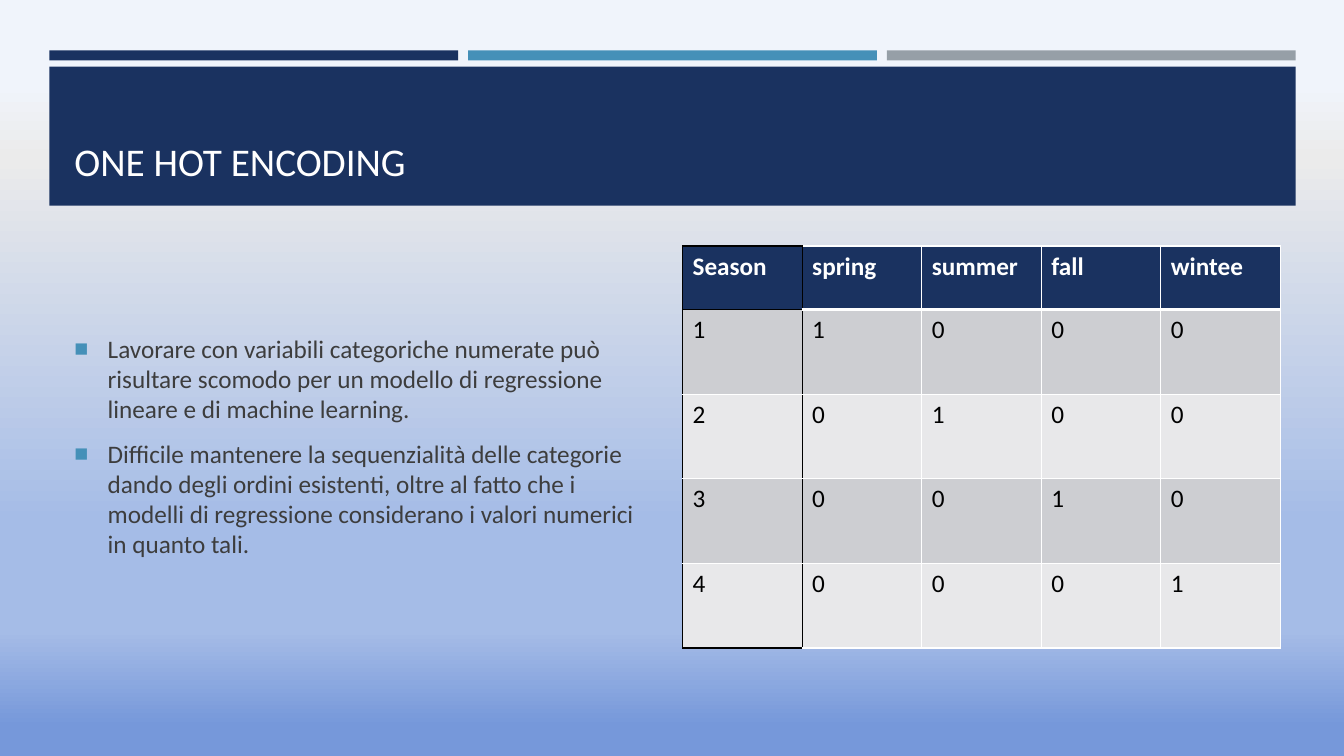
from lxml import etree
from pptx import Presentation
from pptx.dml.color import RGBColor
from pptx.enum.shapes import MSO_SHAPE
from pptx.enum.text import MSO_ANCHOR
from pptx.oxml.ns import qn
from pptx.util import Inches, Pt

RECTANGLE = MSO_SHAPE.RECTANGLE
BOTTOM, MIDDLE = MSO_ANCHOR.BOTTOM, MSO_ANCHOR.MIDDLE

NAVY = RGBColor(0x1A, 0x32, 0x60)
BLUE = RGBColor(0x45, 0x90, 0xB8)
GRAY = RGBColor(0x96, 0x9F, 0xA7)
WHITE = RGBColor(0xFF, 0xFF, 0xFF)
BLACK = RGBColor(0x00, 0x00, 0x00)
BODY_TEXT = RGBColor(0x3D, 0x3D, 0x3D)
ROW_DARK = RGBColor(0xCD, 0xCE, 0xD2)
ROW_LIGHT = RGBColor(0xE8, 0xE8, 0xEA)
BACKGROUND_STOPS = [
    (11, RGBColor(0xF0, 0xF4, 0xFB)),
    (21, RGBColor(0xEB, 0xEB, 0xEB)),
    (69, RGBColor(0xA5, 0xBC, 0xE7)),
    (84, RGBColor(0xA3, 0xBA, 0xE6)),
    (96, RGBColor(0x76, 0x98, 0xDA)),
]

FONT = "Calibri"
SLIDE_WIDTH, SLIDE_HEIGHT = 13.33, 7.5
MARGIN, BAND_WIDTH = 0.49, 12.36
CONTENT_LEFT, CONTENT_WIDTH, CONTENT_TOP = 0.64, 12.06, 2.44
COLUMN_GAP = 0.2
COLUMN_WIDTH = (CONTENT_WIDTH - COLUMN_GAP) / 2

TITLE = "ONE HOT ENCODING"
POINTS = [
    "Lavorare con variabili categoriche numerate può risultare scomodo per un "
    "modello di regressione lineare e di machine learning.",
    "Difficile mantenere la sequenzialità delle categorie dando degli ordini "
    "esistenti, oltre al fatto che i modelli di regressione considerano i "
    "valori numerici in quanto tali.",
]
SEASONS = ["spring", "summer", "fall", "wintee"]


def set_font(paragraph, size, color, bold=False):
    font = paragraph.font
    font.name, font.size, font.bold = FONT, Pt(size), bold
    font.color.rgb = color


def add_color(parent, color):
    etree.SubElement(parent, qn("a:srgbClr"), val=str(color))


def paint_background(slide):
    slide.background.fill.gradient()
    gradient = slide.element.find(".//" + qn("a:gradFill"))
    stops = gradient.find(qn("a:gsLst"))
    for stop in list(stops):
        stops.remove(stop)
    for position, color in BACKGROUND_STOPS:
        stop = etree.SubElement(stops, qn("a:gs"), pos=str(position * 1000))
        add_color(stop, color)
    gradient.find(qn("a:lin")).set("ang", str(90 * 60000))


def add_bar(slide, left, top, width, height, color):
    bar = slide.shapes.add_shape(
        RECTANGLE, Inches(left), Inches(top), Inches(width), Inches(height))
    bar.shadow.inherit = False
    bar.fill.solid()
    bar.fill.fore_color.rgb = color
    bar.line.fill.background()


def add_text_frame(slide, left, top, width, height, anchor):
    box = slide.shapes.add_textbox(
        Inches(left), Inches(top), Inches(width), Inches(height))
    frame = box.text_frame
    frame.word_wrap = True
    frame.vertical_anchor = anchor
    return frame


def add_header(slide, left, top, width):
    # Three stripes above the title band
    gap = 0.1
    stripe_width = (width - 2 * gap) / 3
    for index, color in enumerate([NAVY, BLUE, GRAY]):
        add_bar(slide, left + index * (stripe_width + gap), top, stripe_width, 0.1, color)
    add_bar(slide, left, top + 0.16, width, 1.38, NAVY)

    # Title
    frame = add_text_frame(slide, CONTENT_LEFT, top + 0.3, CONTENT_WIDTH, 1.08, BOTTOM)
    frame.text = TITLE
    set_font(frame.paragraphs[0], 28, WHITE)


def add_bullet(paragraph):
    properties = paragraph._p.get_or_add_pPr()
    properties.set("marL", str(Inches(0.33)))
    properties.set("indent", str(-Inches(0.33)))
    add_color(etree.SubElement(properties, qn("a:buClr")), BLUE)
    etree.SubElement(properties, qn("a:buSzPct"), val="92000")
    etree.SubElement(properties, qn("a:buFont"), typeface="Arial")
    etree.SubElement(properties, qn("a:buChar"), char="■")


def add_points(slide, left, top, width, height):
    frame = add_text_frame(slide, left, top, width, height, MIDDLE)
    for index, point in enumerate(POINTS):
        paragraph = frame.paragraphs[0] if index == 0 else frame.add_paragraph()
        paragraph.text = point
        add_bullet(paragraph)
        paragraph.space_after = Pt(6)
        if index:
            paragraph.space_before = Pt(4)
        set_font(paragraph, 18, BODY_TEXT)


def set_borders(cell, borders):
    properties = cell._tc.get_or_add_tcPr()
    for index, (side, (color, width)) in enumerate(borders.items()):
        line = etree.Element(qn("a:ln" + side), w=str(Pt(width)))
        add_color(etree.SubElement(line, qn("a:solidFill")), color)
        properties.insert(index, line)


def cell_borders(row, column, last_row):
    thin_white, thin_black = (WHITE, 1), (BLACK, 1)
    borders = dict.fromkeys("LRTB", thin_white)
    if row == 0:
        borders["B"] = (WHITE, 3)
    elif row == 1 and column:
        borders["T"] = (WHITE, 3)
    # The first column is outlined in black
    if column == 0:
        borders["L"] = borders["R"] = thin_black
        if row <= 1:
            borders["T"] = thin_black
        if row in (0, last_row):
            borders["B"] = thin_black
    elif column == 1:
        borders["L"] = thin_black
    return borders


def add_season_table(slide, left, top, width, header_height, row_height):
    rows = [["Season"] + SEASONS]
    for number in range(len(SEASONS)):
        flags = [str(int(number == season)) for season in range(len(SEASONS))]
        rows.append([str(number + 1)] + flags)
    height = header_height + row_height * len(SEASONS)
    table = slide.shapes.add_table(
        len(rows), len(rows[0]), Inches(left), Inches(top),
        Inches(width), Inches(height)).table

    for column in table.columns:
        column.width = Inches(width / len(rows[0]))
    for row, texts in enumerate(rows):
        is_header = row == 0
        table.rows[row].height = Inches(header_height if is_header else row_height)
        fill = NAVY if is_header else (ROW_DARK if row % 2 else ROW_LIGHT)
        for column, text in enumerate(texts):
            cell = table.cell(row, column)
            cell.text = text
            set_font(cell.text_frame.paragraphs[0], 18,
                     WHITE if is_header else BLACK, is_header)
            cell.fill.solid()
            cell.fill.fore_color.rgb = fill
            set_borders(cell, cell_borders(row, column, len(rows) - 1))


def main():
    presentation = Presentation()
    presentation.slide_width = Inches(SLIDE_WIDTH)
    presentation.slide_height = Inches(SLIDE_HEIGHT)
    slide = presentation.slides.add_slide(presentation.slide_layouts[6])
    paint_background(slide)
    add_header(slide, MARGIN, 0.5, BAND_WIDTH)
    add_points(slide, CONTENT_LEFT, CONTENT_TOP, COLUMN_WIDTH, 3.97)
    add_season_table(slide, CONTENT_LEFT + COLUMN_WIDTH + COLUMN_GAP, CONTENT_TOP,
                     COLUMN_WIDTH, 0.63, 0.84)
    presentation.save("out.pptx")


if __name__ == "__main__":
    main()
